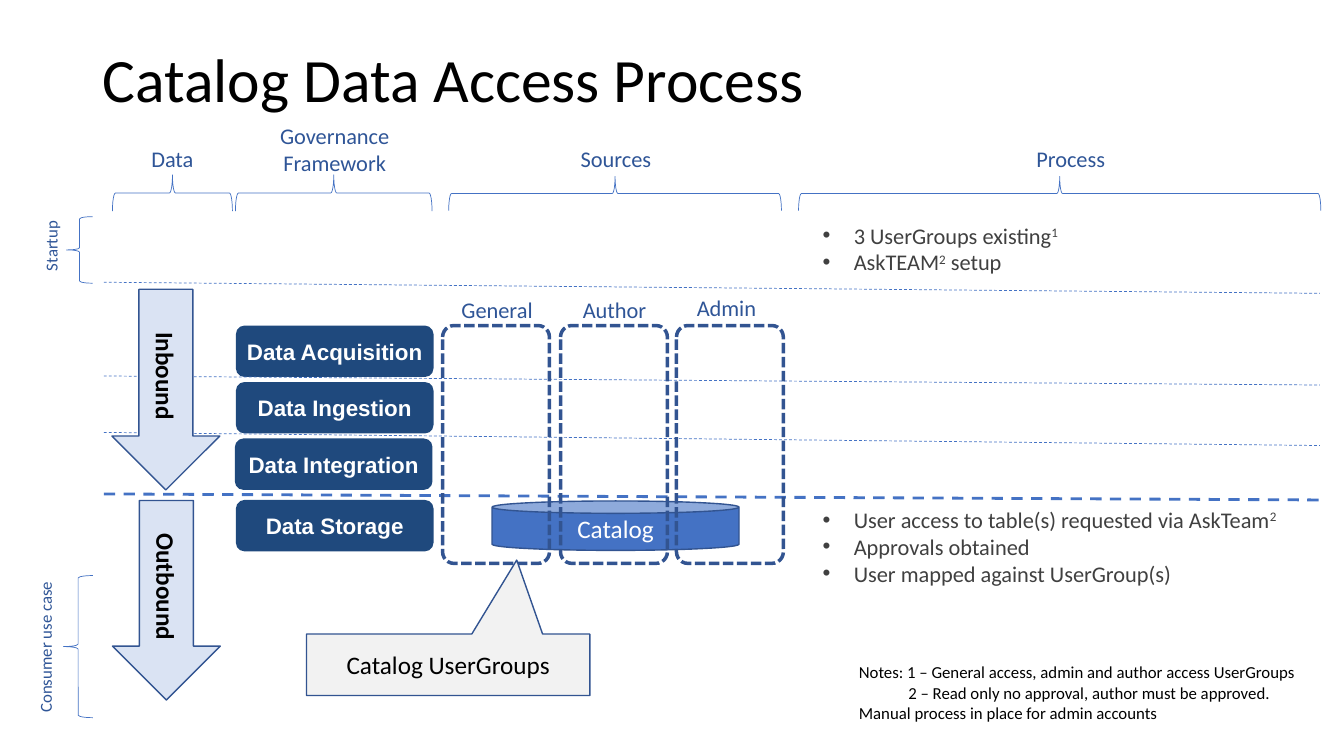
from lxml.etree import SubElement
from pptx import Presentation
from pptx.dml.color import RGBColor
from pptx.enum.dml import MSO_LINE
from pptx.enum.shapes import MSO_CONNECTOR, MSO_SHAPE
from pptx.enum.text import MSO_ANCHOR, PP_ALIGN
from pptx.oxml.ns import qn
from pptx.util import Inches, Pt

BLACK = RGBColor(0x00, 0x00, 0x00)
WHITE = RGBColor(0xFF, 0xFF, 0xFF)
GREY = RGBColor(0x40, 0x40, 0x40)
PALE_GREY = RGBColor(0xF2, 0xF2, 0xF2)
NAVY = RGBColor(0x1F, 0x49, 0x7D)
BLUE = RGBColor(0x44, 0x72, 0xC4)
OUTLINE = RGBColor(0x32, 0x54, 0x91)
LABEL = RGBColor(0x2F, 0x55, 0x97)
PALE_BLUE = RGBColor(0xDA, 0xE3, 0xF3)


class ProcessSlide:
    font = "Calibri"

    def __init__(self, deck):
        self.shapes = deck.slides.add_slide(deck.slide_layouts[6]).shapes

    def add_runs(self, paragraph, parts, size, color, bold=False, font=None):
        for index, part in enumerate(parts):
            run = paragraph.add_run()
            run.text = part
            run.font.name = font or self.font
            run.font.size = Pt(size)
            run.font.bold = bold
            run.font.color.rgb = color
            if index % 2:
                run._r.get_or_add_rPr().set("baseline", "30000")

    def text(self, box, paragraphs, size, color, align=PP_ALIGN.LEFT,
             anchor=MSO_ANCHOR.TOP, rotation=0):
        area = self.shapes.add_textbox(*map(Inches, box))
        area.rotation = rotation
        frame = area.text_frame
        frame.word_wrap = True
        frame.vertical_anchor = anchor
        for index, parts in enumerate(paragraphs):
            paragraph = frame.add_paragraph() if index else frame.paragraphs[0]
            paragraph.alignment = align
            self.add_runs(paragraph, parts, size, color)
        return frame.paragraphs

    def label(self, box, words, size=16, rotation=0):
        self.text(box, [[words]], size, LABEL, PP_ALIGN.CENTER, rotation=rotation)

    def bullets(self, box, items):
        for paragraph in self.text(box, items, 16, GREY):
            properties = paragraph._p.get_or_add_pPr()
            properties.set("marL", str(Inches(0.31)))
            properties.set("indent", str(Inches(-0.31)))
            SubElement(properties, qn("a:buFont")).set("typeface", "Arial")
            SubElement(properties, qn("a:buChar")).set("char", "•")

    def shape(self, kind, box, fill=None, line=None, width=1, dash=None,
              adjust=(), rotation=0):
        item = self.shapes.add_shape(kind, *map(Inches, box))
        item.shadow.inherit = False
        item.rotation = rotation
        for index, value in enumerate(adjust):
            item.adjustments[index] = value
        if fill is None:
            item.fill.background()
        else:
            item.fill.solid()
            item.fill.fore_color.rgb = fill
        if line is None:
            item.line.fill.background()
        else:
            item.line.color.rgb = line
            item.line.width = Pt(width)
            item.line.dash_style = dash
        return item

    def caption(self, item, words, size, color, bold=False, font=None, wrap=True):
        frame = item.text_frame
        frame.word_wrap = wrap
        frame.vertical_anchor = MSO_ANCHOR.MIDDLE
        frame.paragraphs[0].alignment = PP_ALIGN.CENTER
        self.add_runs(frame.paragraphs[0], [words], size, color, bold, font)

    def stage(self, left, top, words):
        item = self.shape(MSO_SHAPE.ROUNDED_RECTANGLE, (left, top, 1.96, 0.51), NAVY)
        self.caption(item, words, 16, WHITE, True, "Arial", False)

    def flow(self, left, top, length, words):
        item = self.shape(MSO_SHAPE.RIGHT_ARROW, (left, top, length, 1.07),
                          PALE_BLUE, OUTLINE, rotation=90)
        self.caption(item, words, 18, BLACK, True)

    def source(self, left):
        self.shape(MSO_SHAPE.ROUNDED_RECTANGLE, (left, 3.23, 1.06, 2.36), None,
                   OUTLINE, 2.5, MSO_LINE.SQUARE_DOT, (0.107,))

    def brace(self, box, rotation=0):
        self.shape(MSO_SHAPE.LEFT_BRACE, box, None, BLUE, 0.5, rotation=rotation)

    def divider(self, start, end, width=0.5):
        line = self.shapes.add_connector(
            MSO_CONNECTOR.STRAIGHT, Inches(1.03), Inches(start), Inches(13.09), Inches(end))
        line.line.color.rgb = BLUE
        line.line.width = Pt(width)
        line.line.dash_style = MSO_LINE.DASH
        SubElement(line._element.spPr, qn("a:effectLst"))


def main():
    deck = Presentation()
    deck.slide_width, deck.slide_height = Inches(13.33), Inches(7.5)
    slide = ProcessSlide(deck)

    title = slide.text((0.92, 0.09, 11.5, 1.45), [["Catalog Data Access Process"]],
                       44, BLACK, anchor=MSO_ANCHOR.MIDDLE)
    title[0].line_spacing = 0.9

    for left, top, words in ((2.34, 3.23, "Data Acquisition"), (2.34, 3.79, "Data Ingestion"),
                             (2.33, 4.35, "Data Integration"), (2.34, 4.96, "Data Storage")):
        slide.stage(left, top, words)

    catalog = slide.shape(MSO_SHAPE.CAN, (4.88, 4.97, 2.45, 0.49), BLUE, OUTLINE)
    slide.caption(catalog, "Catalog", 18, WHITE)

    for start, end, width in ((2.8, 2.91, 0.5), (3.73, 3.82, 0.5),
                              (4.29, 4.42, 0.5), (4.9, 4.96, 2)):
        slide.divider(start, end, width)

    slide.flow(0.65, 3.33, 1.99, "Inbound")
    slide.flow(0.66, 5.42, 1.98, "Outbound")

    for left in (4.39, 5.56, 6.71):
        slide.source(left)
    for box, words in (((4.34, 2.89, 1.18, 0.38), "General"),
                       ((5.6, 2.89, 0.99, 0.38), "Author"),
                       ((6.71, 2.87, 0.99, 0.38), "Admin")):
        slide.label(box, words)

    groups = slide.shape(MSO_SHAPE.RECTANGULAR_CALLOUT, (3.04, 6.29, 2.81, 0.61),
                         PALE_GREY, OUTLINE, adjust=(0.242, -1.704))
    slide.caption(groups, "Catalog UserGroups", 18, BLACK)

    for brace, left, top, height, heading in (
            ((1.53, 1.32, 0.36, 1.19), 0.66, 1.39, 0.37, "Data"),
            ((3.13, 0.94, 0.36, 1.95), 2.27, 1.16, 0.64, "Governance Framework"),
            ((5.93, 0.27, 0.34, 3.3), 5.06, 1.39, 0.37, "Sources"),
            ((10.34, -0.67, 0.34, 5.18), 9.57, 1.39, 0.37, "Process")):
        slide.brace(brace, 90)
        slide.label((left, top, 2.1, height), heading)

    for brace, box, phase in (
            ((0.66, 2.15, 0.26, 0.66), (-0.17, 2.29, 1.35, 0.3), "Startup"),
            ((0.63, 5.71, 0.29, 1.41), (-0.32, 6.27, 1.54, 0.3), "Consumer use case")):
        slide.brace(brace)
        slide.label(box, phase, 12, 270)

    slide.bullets((8.06, 2.15, 2.61, 0.64),
                  [["3 UserGroups existing", "1"], ["AskTEAM", "2", " setup"]])
    slide.bullets((8.06, 4.97, 5.28, 0.91),
                  [["User access to table(s) requested via AskTeam", "2"],
                   ["Approvals obtained"], ["User mapped against UserGroup(s)"]])

    notes = slide.text((8.42, 6.52, 4.67, 0.71),
                       [["Notes: 1 – General access, admin and author access UserGroups"],
                        ["2 – Read only no approval, author must be approved."],
                        ["Manual process in place for admin accounts"]], 12, BLACK)
    notes[1]._p.get_or_add_pPr().set("indent", str(Inches(0.49)))

    deck.save("out.pptx")


if __name__ == "__main__":
    main()
